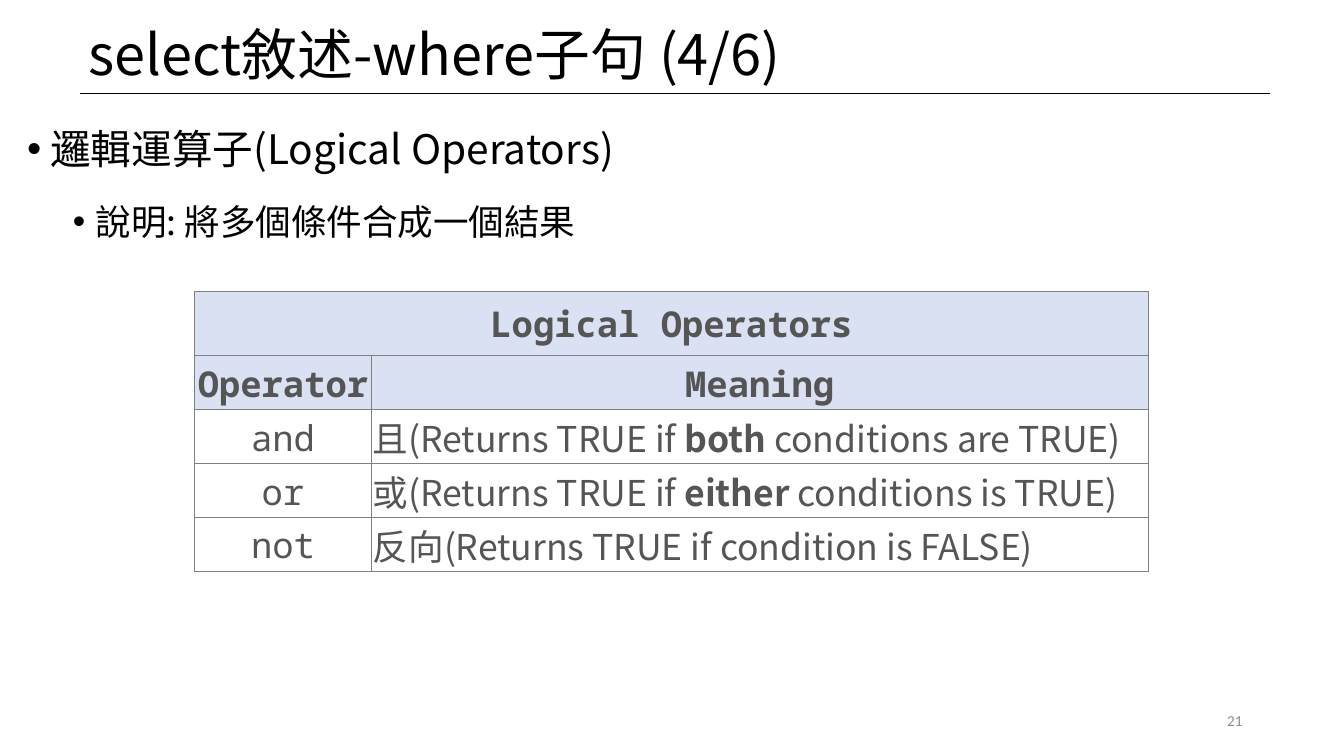
from lxml.etree import SubElement
from pptx import Presentation
from pptx.dml.color import RGBColor
from pptx.enum.shapes import MSO_CONNECTOR
from pptx.enum.text import MSO_ANCHOR, PP_ALIGN
from pptx.oxml import parse_xml
from pptx.oxml.ns import nsdecls, qn
from pptx.util import Pt

THEME = {
    "title": {"name": "Noto Sans CJK TC", "size": Pt(44), "color": "000000"},
    "topic": {"name": "Noto Sans CJK TC", "size": Pt(32), "color": "000000"},
    "detail": {"name": "Noto Sans CJK TC", "size": Pt(28), "color": "000000"},
    "heading": {"name": "Noto Sans Mono", "size": Pt(28), "color": "555555", "bold": True},
    "operator": {"name": "Noto Sans Mono", "size": Pt(28), "color": "555555", "bold": False},
    "meaning": {"name": "Noto Sans CJK SC", "size": Pt(28), "color": "555555", "bold": False},
    "strong": {"name": "Noto Sans CJK SC", "size": Pt(28), "color": "555555", "bold": True},
    "number": {"name": "Calibri", "size": Pt(12), "color": "8C8C8C"},
    "rule": "000000",
    "border": "808080",
    "header_fill": "D9E1F2",
}


def add_run(paragraph, text, style):
    """Append text in a THEME style, for Latin and East Asian letters alike."""
    run = paragraph.add_run()
    run.text = text
    for key, value in THEME[style].items():
        if key == "color":
            run.font.color.rgb = RGBColor.from_string(value)
        else:
            setattr(run.font, key, value)
    east_asian = SubElement(run.font._element, qn("a:ea"))
    east_asian.set("typeface", THEME[style]["name"])


def add_text_frame(slide, left, top, width, height, **frame_format):
    """Add a wrapping text box and return its text frame."""
    text_frame = slide.shapes.add_textbox(Pt(left), Pt(top), Pt(width), Pt(height)).text_frame
    text_frame.word_wrap = True
    for key, value in frame_format.items():
        setattr(text_frame, key, value)
    return text_frame


presentation = Presentation()
presentation.slide_width = Pt(1058.4)
presentation.slide_height = Pt(595.44)
slide = presentation.slides.add_slide(presentation.slide_layouts[6])

# Title and rule
title_rule = slide.shapes.add_connector(
    MSO_CONNECTOR.STRAIGHT, Pt(62.64), Pt(73.8), Pt(1000), Pt(73.8))
title_rule.line.color.rgb = RGBColor.from_string(THEME["rule"])
title_rule.line.width = Pt(1.25)
SubElement(title_rule._element.spPr, qn("a:effectLst"))

title_frame = add_text_frame(slide, 62.64, 1.44, 937.44, 77.76,
                             vertical_anchor=MSO_ANCHOR.MIDDLE, margin_top=Pt(7.2))
add_run(title_frame.paragraphs[0], "select敘述-where子句 (4/6)", "title")

# Bulleted text
body_frame = add_text_frame(slide, 14.4, 74.88, 1034.64, 520.56)
bullets = [
    ("邏輯運算子(Logical Operators)", "topic", 0, 18, 0),
    ("說明: 將多個條件合成一個結果", "detail", 1, 54, 5),
]
for index, (text, style, level, indent, space_before) in enumerate(bullets):
    paragraph = body_frame.add_paragraph() if index else body_frame.paragraphs[0]
    properties = paragraph._p.get_or_add_pPr()
    properties.set("marL", str(Pt(indent)))
    properties.set("indent", str(Pt(-18)))
    SubElement(properties, qn("a:buFont")).set("typeface", "Arial")
    SubElement(properties, qn("a:buChar")).set("char", "•")
    paragraph_format = {"level": level, "line_spacing": 1.5, "space_before": Pt(space_before)}
    for key, value in paragraph_format.items():
        setattr(paragraph, key, value)
    add_run(paragraph, text, style)

# Operator table: each cell is a list of (text, style) runs
rows = [
    [[("Logical Operators", "heading")], []],
    [[("Operator", "heading")], [("Meaning", "heading")]],
    [[("and", "operator")],
     [("且(Returns TRUE if ", "meaning"), ("both", "strong"),
      (" conditions are TRUE)", "meaning")]],
    [[("or", "operator")],
     [("或(Returns TRUE if ", "meaning"), ("either", "strong"),
      (" conditions is TRUE)", "meaning")]],
    [[("not", "operator")],
     [("反向(Returns TRUE if condition is FALSE)", "meaning")]],
]
column_widths = [138.96, 612]
row_heights = [50.4] + [42.48] * 4
header_rows = 2
table = slide.shapes.add_table(
    len(rows), len(column_widths), Pt(153.36), Pt(229.68),
    Pt(sum(column_widths)), Pt(sum(row_heights))).table
for column, width in zip(table.columns, column_widths):
    column.width = Pt(width)
for row, height in zip(table.rows, row_heights):
    row.height = Pt(height)

for row_index, row in enumerate(rows):
    for column_index, runs in enumerate(row):
        cell = table.cell(row_index, column_index)
        side, top, bottom = (9.36, 5.04, 5.04) if row_index == 0 else (1.44, 1.44, 0)
        cell_format = {
            "vertical_anchor": MSO_ANCHOR.MIDDLE,
            "margin_left": Pt(side), "margin_right": Pt(side),
            "margin_top": Pt(top), "margin_bottom": Pt(bottom),
        }
        for key, value in cell_format.items():
            setattr(cell, key, value)
        for edge in ("lnL", "lnR", "lnT", "lnB"):
            cell._tc.get_or_add_tcPr().append(parse_xml(
                f'<a:{edge} {nsdecls("a")} w="{Pt(1)}"><a:solidFill>'
                f'<a:srgbClr val="{THEME["border"]}"/></a:solidFill></a:{edge}>'))
        if row_index < header_rows:
            cell.fill.solid()
            cell.fill.fore_color.rgb = RGBColor.from_string(THEME["header_fill"])
        else:
            cell.fill.background()
        paragraph = cell.text_frame.paragraphs[0]
        centred = row_index < header_rows or column_index == 0
        paragraph.alignment = PP_ALIGN.CENTER if centred else PP_ALIGN.LEFT
        for text, style in runs:
            add_run(paragraph, text, style)
table.cell(0, 0).merge(table.cell(0, 1))

# Page number
number_frame = add_text_frame(slide, 747.36, 551.52, 238.32, 31.68,
                              vertical_anchor=MSO_ANCHOR.MIDDLE)
number_frame.paragraphs[0].alignment = PP_ALIGN.RIGHT
add_run(number_frame.paragraphs[0], "21", "number")

presentation.save("out.pptx")
